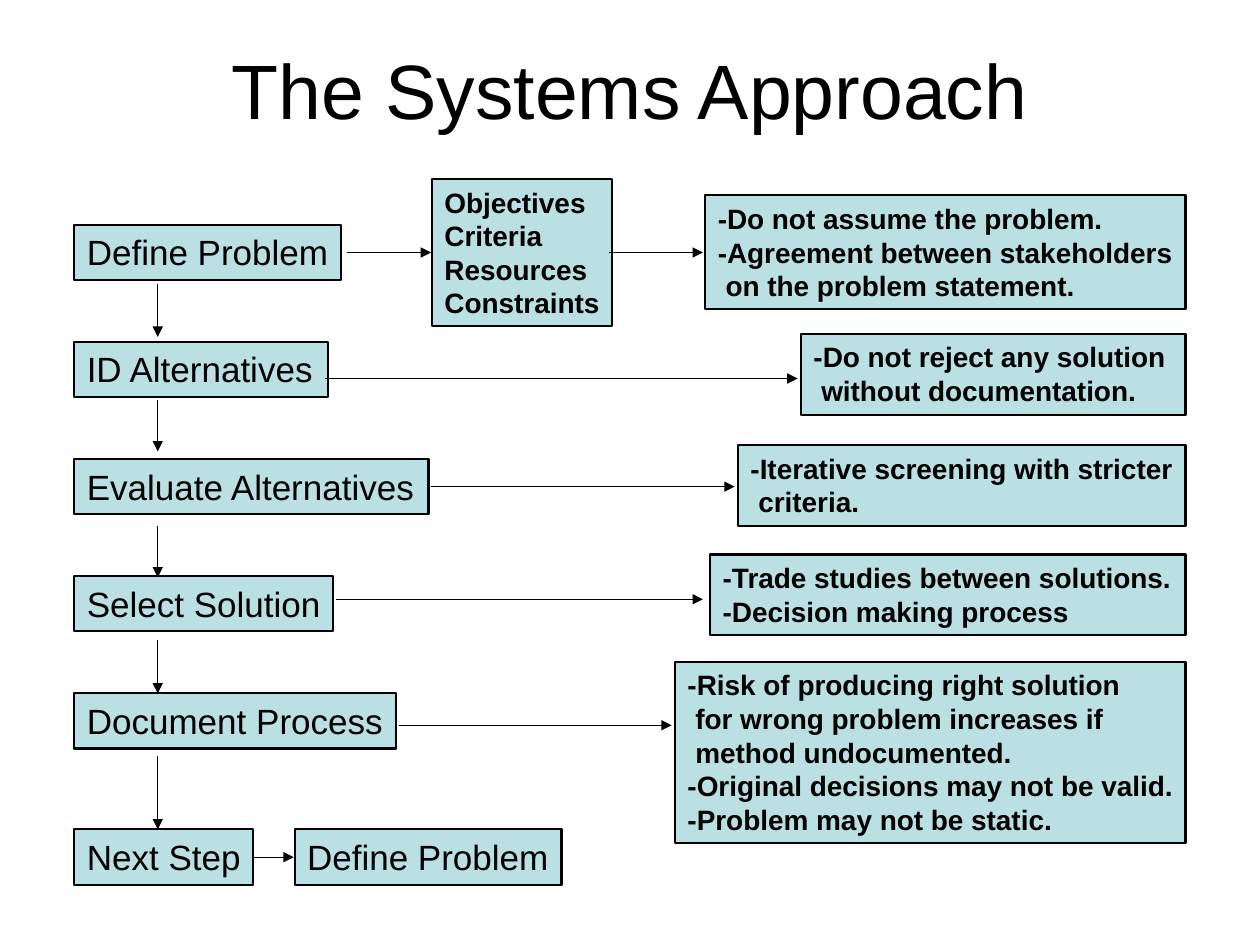
import lxml.etree
import pptx
import pptx.dml.color
import pptx.enum.shapes
import pptx.enum.text
import pptx.oxml.ns
import pptx.util

Cm = pptx.util.Cm
Pt = pptx.util.Pt
BLACK = pptx.dml.color.RGBColor(0x00, 0x00, 0x00)
PALE_TEAL = pptx.dml.color.RGBColor(0xBB, 0xE0, 0xE3)
FONT = "Arial"
STEP_HEIGHT = 1.12
HANGING_INDENT = Pt(4.45)

STEPS = [
    ("Define Problem", 0, 5.38),
    ("ID Alternatives", 2.36, 5.11),
    ("Evaluate Alternatives", 4.72, 7.14),
    ("Select Solution", 7.08, 5.21),
    ("Document Process", 9.44, 6.48),
    ("Next Step", 12.19, 3.61),
]
STEP_ARROWS = [(1.2, 2.26), (3.53, 4.57), (6.07, 7.11), (8.38, 9.45), (10.72, 12.19)]
TOPICS = ["Objectives", "Criteria", "Resources", "Constraints"]
NOTES = [
    (0, 9.68, 2.29, ["-Do not assume the problem.",
                     "-Agreement between stakeholders\von the problem statement."]),
    (2.79, 7.75, 1.63, ["-Do not reject any solution\vwithout documentation."]),
    (5.03, 9.02, 1.63, ["-Iterative screening with stricter\vcriteria."]),
    (7.24, 9.58, 1.63, ["-Trade studies between solutions.",
                        "-Decision making process"]),
    (9.4, 10.29, 3.66, ["-Risk of producing right solution\vfor wrong problem increases if"
                        "\vmethod undocumented.",
                        "-Original decisions may not be valid.",
                        "-Problem may not be static."]),
]
LINKS = [
    (5.49, 7.19, 0.56),
    (10.77, 12.67, 0.56),
    (5.05, 14.58, 3.1),
    (7.19, 13.31, 5.28),
    (5.28, 12.67, 7.55),
    (6.55, 12.04, 10.09),
    (3.58, 4.42, 12.75),
]


def format_font(font, size, bold=False):
    font.name = FONT
    font.size = Pt(size)
    font.bold = bold
    font.color.rgb = BLACK


def add_box(page, left, top, width, height, lines, size, bold=False, hanging=False):
    box = page.shapes.add_shape(
        pptx.enum.shapes.MSO_SHAPE.RECTANGLE, Cm(left), Cm(top), Cm(width), Cm(height))
    box.shadow.inherit = False
    box.fill.solid()
    box.fill.fore_color.rgb = PALE_TEAL
    box.line.color.rgb = BLACK
    box.line.width = Pt(1.25)
    frame = box.text_frame
    frame.word_wrap = False
    frame.auto_size = pptx.enum.text.MSO_AUTO_SIZE.NONE
    frame.vertical_anchor = pptx.enum.text.MSO_ANCHOR.TOP
    frame.margin_right = Cm(0.1)
    for index, line in enumerate(lines):
        para = frame.paragraphs[0] if index == 0 else frame.add_paragraph()
        para.text = line
        para.alignment = pptx.enum.text.PP_ALIGN.LEFT
        if hanging:
            properties = para._p.get_or_add_pPr()
            properties.set("marL", str(HANGING_INDENT))
            properties.set("indent", str(-HANGING_INDENT))
        format_font(para.font, size, bold)
    frame.word_wrap = True


def add_arrow(page, x1, y1, x2, y2):
    arrow = page.shapes.add_connector(
        pptx.enum.shapes.MSO_CONNECTOR.STRAIGHT, Cm(x1), Cm(y1), Cm(x2), Cm(y2))
    arrow.line.color.rgb = BLACK
    arrow.line.width = Pt(0.75)
    lxml.etree.SubElement(
        arrow.line._get_or_add_ln(), pptx.oxml.ns.qn("a:tailEnd"), type="triangle")
    lxml.etree.SubElement(arrow._element.spPr, pptx.oxml.ns.qn("a:effectLst"))


def add_title(page, left, top, width, height):
    title = page.shapes.title
    title.left, title.top, title.width, title.height = map(Cm, (left, top, width, height))
    frame = title.text_frame
    frame.text = "The Systems Approach"
    frame.word_wrap = True
    frame.auto_size = pptx.enum.text.MSO_AUTO_SIZE.NONE
    frame.vertical_anchor = pptx.enum.text.MSO_ANCHOR.MIDDLE
    para = frame.paragraphs[0]
    para.alignment = pptx.enum.text.PP_ALIGN.CENTER
    format_font(para.font, 44)


def add_steps(page, left, top):
    for name, offset, width in STEPS:
        add_box(page, left, top + offset, width, STEP_HEIGHT, [name], 20)
    for start, end in STEP_ARROWS:
        add_arrow(page, left + 1.68, top + start, left + 1.68, top + end)


def add_notes(page, right, top):
    for offset, width, height, lines in NOTES:
        add_box(page, right - width, top + offset, width, height, lines, 16, True, True)


def add_links(page, left, top):
    for start, end, offset in LINKS:
        add_arrow(page, left + start, top + offset, left + end, top + offset)


def main():
    deck = pptx.Presentation()
    deck.slide_width, deck.slide_height = Cm(25.4), Cm(19.05)
    page = deck.slides.add_slide(deck.slide_layouts.get_by_name("Title Only"))
    add_title(page, 1.27, 0.78, 22.86, 2.03)
    add_steps(page, 1.5, 4.53)
    add_box(page, 8.71, 3.61, 3.63, 2.97, TOPICS, 16, True)
    add_notes(page, 23.9, 3.94)
    add_box(page, 5.94, 16.72, 5.38, STEP_HEIGHT, ["Define Problem"], 20)
    add_links(page, 1.5, 4.53)
    deck.save("out.pptx")


if __name__ == "__main__":
    main()
